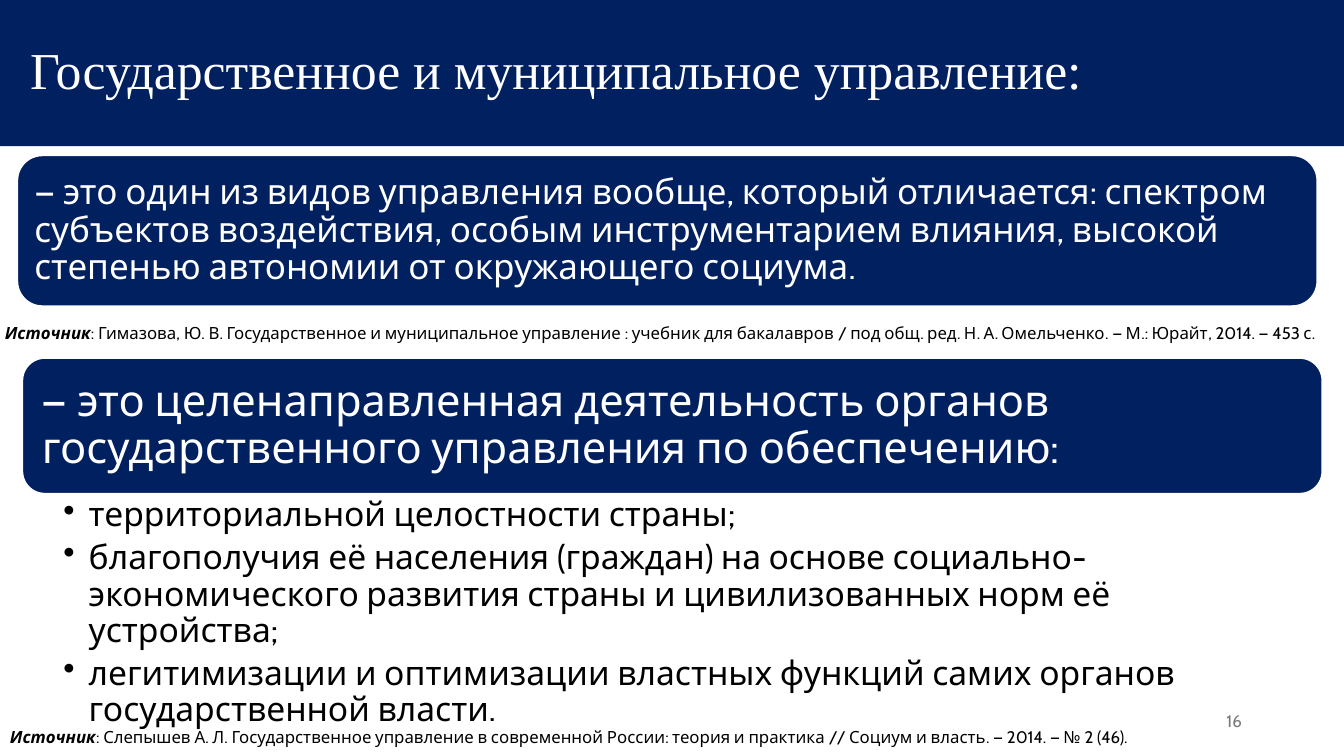
from dataclasses import dataclass

from lxml.etree import SubElement
from pptx import Presentation
from pptx.dml.color import RGBColor
from pptx.enum.shapes import MSO_SHAPE
from pptx.enum.text import MSO_ANCHOR, MSO_AUTO_SIZE, PP_ALIGN
from pptx.oxml.ns import qn
from pptx.util import Inches, Pt


@dataclass(frozen=True)
class Theme:
    navy: RGBColor = RGBColor.from_string("002060")
    white: RGBColor = RGBColor.from_string("FFFFFF")
    black: RGBColor = RGBColor.from_string("000000")
    gray: RGBColor = RGBColor.from_string("797979")
    heading_font: str = "Times New Roman"
    body_font: str = "Cabin"
    title_size: int = 37
    lead_size: int = 31
    definition_size: int = 25
    goal_size: int = 24
    small_size: int = 12
    line_spacing: float = 0.9


class DefinitionSlide:
    """Draws styled elements placed in percent of the slide's width and height."""

    def __init__(self, deck, theme):
        self.theme = theme
        self.width, self.height = deck.slide_width, deck.slide_height
        self.slide = deck.slides.add_slide(deck.slide_layouts[5])

    def place(self, left, top, width, height):
        return (
            round(self.width * left / 100),
            round(self.height * top / 100),
            round(self.width * width / 100),
            round(self.height * height / 100),
        )

    def frame(self, shape, anchor, sides=0.1, ends=0.05):
        frame = shape.text_frame
        frame.word_wrap = True
        frame.auto_size = MSO_AUTO_SIZE.NONE
        frame.vertical_anchor = anchor
        frame.margin_left = frame.margin_right = Inches(sides)
        frame.margin_top = frame.margin_bottom = Inches(ends)
        return frame

    def add_words(self, paragraph, words, size, color, font=None, strong=False):
        run = paragraph.add_run()
        run.text = words
        run.font.name = font or self.theme.body_font
        run.font.size = Pt(size)
        run.font.color.rgb = color
        run.font.bold = run.font.italic = strong

    def title(self, words, *area):
        heading = self.slide.shapes.title
        heading.left, heading.top, heading.width, heading.height = self.place(*area)
        heading.fill.solid()
        heading.fill.fore_color.rgb = self.theme.navy
        paragraph = self.frame(heading, MSO_ANCHOR.MIDDLE, sides=0.3).paragraphs[0]
        paragraph.alignment = PP_ALIGN.LEFT
        paragraph.line_spacing = self.theme.line_spacing
        self.add_words(paragraph, words, self.theme.title_size, self.theme.white, self.theme.heading_font)

    def card(self, words, size, inset, *area):
        card = self.slide.shapes.add_shape(MSO_SHAPE.ROUNDED_RECTANGLE, *self.place(*area))
        card.shadow.inherit = False
        card.fill.solid()
        card.fill.fore_color.rgb = self.theme.navy
        card.line.color.rgb = self.theme.white
        card.line.width = Pt(1.5)
        paragraph = self.frame(card, MSO_ANCHOR.MIDDLE, inset, inset).paragraphs[0]
        paragraph.alignment = PP_ALIGN.LEFT
        paragraph.line_spacing = self.theme.line_spacing
        self.add_words(paragraph, words, size, self.theme.white)

    def bullets(self, goals, *area):
        goal_list = self.slide.shapes.add_textbox(*self.place(*area))
        frame = self.frame(goal_list, MSO_ANCHOR.TOP, ends=0.04)
        frame.margin_left, frame.margin_right = Inches(0.41), Inches(0.24)
        for index, goal in enumerate(goals):
            paragraph = frame.add_paragraph() if index else frame.paragraphs[0]
            properties = paragraph._p.get_or_add_pPr()
            properties.set("marL", str(Inches(0.25)))
            properties.set("indent", str(-Inches(0.25)))
            SubElement(properties, qn("a:buChar")).set("char", "•")
            paragraph.level = 1
            paragraph.line_spacing = self.theme.line_spacing
            paragraph.space_after = Pt(4.8)
            self.add_words(paragraph, goal, self.theme.goal_size, self.theme.black)

    def source(self, citation, *area):
        source = self.slide.shapes.add_textbox(*self.place(*area))
        paragraph = self.frame(source, MSO_ANCHOR.TOP).paragraphs[0]
        self.add_words(paragraph, "Источник", self.theme.small_size, self.theme.black, strong=True)
        self.add_words(paragraph, f": {citation}", self.theme.small_size, self.theme.black)

    def page_number(self, number, *area):
        page = self.slide.shapes.add_textbox(*self.place(*area))
        paragraph = self.frame(page, MSO_ANCHOR.MIDDLE).paragraphs[0]
        paragraph.alignment = PP_ALIGN.RIGHT
        self.add_words(paragraph, number, self.theme.small_size, self.theme.gray)


def main():
    deck = Presentation()
    deck.slide_width, deck.slide_height = Inches(13.33), Inches(7.5)
    theme = Theme()
    page = DefinitionSlide(deck, theme)
    card_width = 96.75

    page.card(
        "— это целенаправленная деятельность органов государственного управления по обеспечению:",
        theme.lead_size, 0.13, 1.65, 47.33, card_width, 18,
    )
    page.bullets(
        [
            "территориальной целостности страны;",
            "благополучия её населения (граждан) на основе социально-экономического "
            "развития страны и цивилизованных норм её устройства;",
            "легитимизации и оптимизации властных функций самих органов государственной власти.",
        ],
        1.65, 65.33, card_width, 28.13,
    )
    page.title("Государственное и муниципальное управление:", 0, 0, 100, 19.33)
    page.card(
        "— это один из видов управления вообще, который отличается: спектром субъектов "
        "воздействия, особым инструментарием влияния, высокой степенью автономии от "
        "окружающего социума.",
        theme.definition_size, 0.1, 1.28, 20.53, card_width, 20,
    )
    page.source(
        "Гимазова, Ю. В. Государственное и муниципальное управление : учебник для бакалавров "
        "/ под общ. ред. Н. А. Омельченко. — М.: Юрайт, 2014. — 453 с.",
        -0.38, 42, 100, 4,
    )
    page.source(
        "Слепышев А. Л. Государственное управление в современной России: теория и практика "
        "// Социум и власть. — 2014. — № 2 (46).",
        0, 95.47, 100, 4,
    )
    page.page_number("16", 70.65, 92.67, 22.5, 5.33)
    deck.save("out.pptx")


if __name__ == "__main__":
    main()
